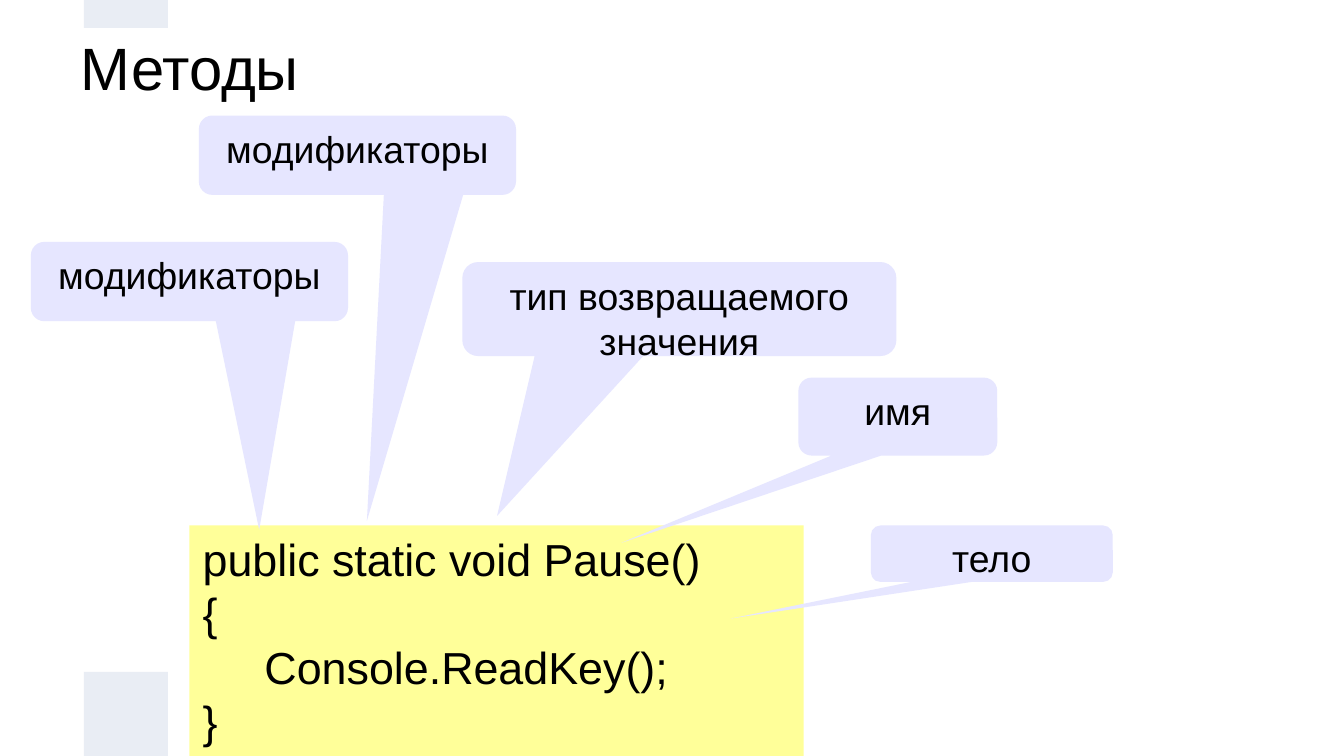
from pptx import Presentation
from pptx.dml.color import RGBColor
from pptx.enum.shapes import MSO_SHAPE
from pptx.enum.text import MSO_ANCHOR, MSO_AUTO_SIZE, PP_ALIGN
from pptx.util import Inches, Pt

RECTANGLE = MSO_SHAPE.RECTANGLE
CALLOUT = MSO_SHAPE.ROUNDED_RECTANGULAR_CALLOUT
LEFT, CENTER = PP_ALIGN.LEFT, PP_ALIGN.CENTER
TOP = MSO_ANCHOR.TOP

# A 16:9 slide; the stripe pieces follow its grid of 16 by 9 units
SLIDE_WIDTH = 10
UNIT = SLIDE_WIDTH / 16
SLIDE_HEIGHT = 9 * UNIT

FONT = "Arial"
BLACK = "000000"
STRIPE_FILL = "E9EDF4"
CODE_FILL = "FFFF99"
CALLOUT_FILL = "E6E6FF"
TITLE_ONLY = 5

# Code lines with their indents in inches
CODE = [
    ("public static void Pause()", 0),
    ("{", 0),
    ("Console.ReadKey();", 0.46),
    ("}", 0),
]

# Text, box, and pointer tip as a share of the box size from its centre
CALLOUTS = [
    ("модификаторы", (1.48, 0.86, 2.36, 0.59), (0.03, 4.61)),
    ("тип возвращаемого значения", (3.44, 1.95, 3.23, 0.7), (-0.42, 2.2)),
    ("имя", (5.94, 2.81, 1.48, 0.58), (-1.39, 1.62)),
    ("тело", (6.48, 3.91, 1.8, 0.42), (-1.08, 1.15)),
    ("модификаторы", (0.23, 1.8, 2.36, 0.59), (0.22, 3.13)),
]


def color(hex_string):
    return RGBColor.from_string(hex_string)


def write_text(shape, lines, size=20, align=LEFT, inset=0.05):
    """Fill a shape with (text, indent) lines in one format."""
    frame = shape.text_frame
    frame.word_wrap = True
    frame.auto_size = MSO_AUTO_SIZE.NONE
    frame.vertical_anchor = TOP
    frame.margin_left = frame.margin_right = Inches(0.1)
    frame.margin_top = frame.margin_bottom = Inches(inset)
    for index, (text, indent) in enumerate(lines):
        paragraph = frame.add_paragraph() if index else frame.paragraphs[0]
        paragraph.alignment = align
        if indent:
            properties = paragraph._p.get_or_add_pPr()
            properties.set("marL", str(Inches(indent)))
        run = paragraph.add_run()
        run.text = text
        run.font.name = FONT
        run.font.size = Pt(size)
        run.font.color.rgb = color(BLACK)


def add_box(slide, box, fill, preset=RECTANGLE):
    shape = slide.shapes.add_shape(preset, *map(Inches, box))
    shape.shadow.inherit = False
    shape.fill.solid()
    shape.fill.fore_color.rgb = color(fill)
    shape.line.fill.background()
    return shape


def add_callout(slide, text, box, tip):
    callout = add_box(slide, box, CALLOUT_FILL, CALLOUT)
    for index, value in enumerate((*tip, 0.17)):
        callout.adjustments[index] = value
    write_text(callout, [(text, 0)], align=CENTER)


def set_title(slide, text):
    title = slide.shapes.title
    title.left, title.top = Inches(0.5), Inches(0.13)
    title.width, title.height = Inches(9), Inches(1.03)
    write_text(title, [(text, 0)], size=32, inset=0.1)


def main():
    presentation = Presentation()
    presentation.slide_width = Inches(SLIDE_WIDTH)
    presentation.slide_height = Inches(SLIDE_HEIGHT)
    slide = presentation.slides.add_slide(presentation.slide_layouts[TITLE_ONLY])

    # Background stripe pieces
    for top, height in ((8 * UNIT, UNIT), (0, UNIT / 3)):
        add_box(slide, (UNIT, top, UNIT, height), STRIPE_FILL)

    set_title(slide, "Методы")

    # Code sample
    code_box = add_box(slide, (1.41, 3.91, 4.57, 1.72), CODE_FILL)
    write_text(code_box, CODE, size=24)

    # Explanations of the code parts
    for text, box, tip in CALLOUTS:
        add_callout(slide, text, box, tip)

    presentation.save("out.pptx")


if __name__ == "__main__":
    main()
